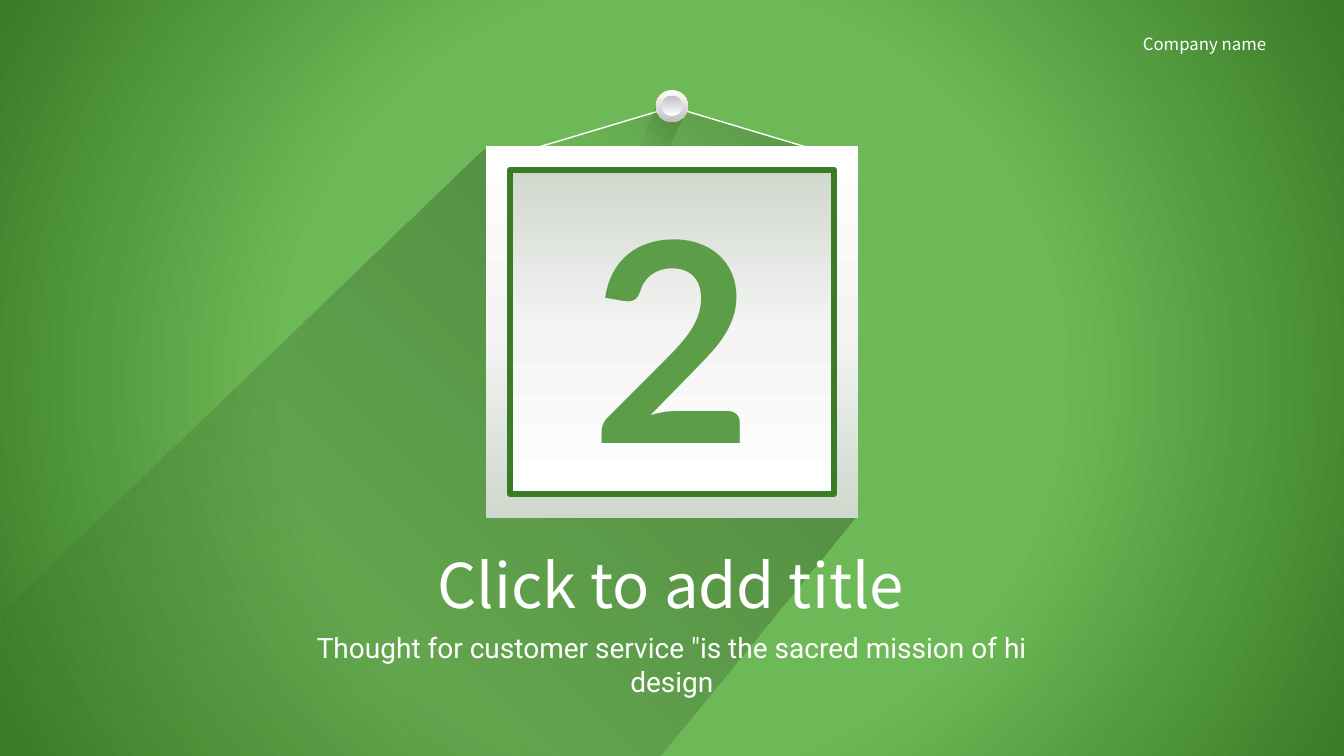
from dataclasses import dataclass

from lxml.etree import SubElement
from pptx import Presentation
from pptx.dml.color import RGBColor as RGB
from pptx.enum.shapes import MSO_SHAPE as SHAPE
from pptx.enum.text import MSO_ANCHOR as ANCHOR, PP_ALIGN as ALIGN
from pptx.oxml.ns import qn
from pptx.util import Emu, Pt

SCALE = 914400 / 100.8


@dataclass(frozen=True)
class Theme:
    """Colours, fonts and type sizes of the slide."""
    white: str = "FFFFFF"
    black: str = "000000"
    light: str = "6EB957"
    dark: str = "397B26"
    number: str = "5B9E47"
    pale: str = "F4F4F4"
    sage: str = "D0D8CD"
    silver: str = "BFBFBF"
    heading_font: str = "Noto Sans CJK SC"
    body_font: str = "Roboto"
    number_font: str = "Lato"
    label_size: int = 12
    body_size: int = 20
    title_size: int = 44
    number_size: int = 199


T = Theme()
FRAME = [(0, T.white, 100), (50, T.pale, 100), (100, T.sage, 100)]
METAL = [(0, T.white, 100), (100, T.silver, 100)]


def px(n):
    """Turn pixels into EMU."""
    return Emu(round(n * SCALE))


def fade(alpha):
    """Return the stops of a shadow that fades out."""
    return [(0, T.black, alpha), (100, T.black, 0)]


def paint(owner, element, stops, angle=None):
    """Give the owner a linear gradient, or a circular one without an angle."""
    owner.fill.solid()
    solid = next(element.iter(qn("a:solidFill")))
    parent = solid.getparent()
    grad = SubElement(parent, qn("a:gradFill"), rotWithShape="1")
    parent.replace(solid, grad)
    stop_list = SubElement(grad, qn("a:gsLst"))
    for pos, color, alpha in stops:
        gs = SubElement(stop_list, qn("a:gs"), pos=str(pos * 1000))
        clr = SubElement(gs, qn("a:srgbClr"), val=color)
        if alpha < 100:
            SubElement(clr, qn("a:alpha"), val=str(alpha * 1000))
    if angle is None:
        circle = SubElement(grad, qn("a:path"), {"path": "circle"})
        SubElement(circle, qn("a:fillToRect"), dict.fromkeys("ltrb", "50000"))
    else:
        SubElement(grad, qn("a:lin"), ang=str(angle * 60000), scaled="0")


def add_shape(shapes, kind, box, stops=None, angle=0, line=None, width=1):
    """Add a preset shape with an optional gradient and outline."""
    s = shapes.add_shape(kind, *map(px, box))
    s.shadow.inherit = False
    if stops:
        paint(s, s.element, stops, angle)
    else:
        s.fill.background()
    if line:
        s.line.color.rgb = RGB.from_string(line)
        s.line.width = Pt(width)
    else:
        s.line.fill.background()
    return s


def add_shadow(shapes, points, alpha):
    """Add a cast shadow through the given points."""
    start, *rest = [(px(x), px(y)) for x, y in points]
    builder = shapes.build_freeform(*start)
    builder.add_line_segments(rest)
    s = builder.convert_to_shape()
    s.shadow.inherit = False
    paint(s, s.element, fade(alpha), 135)
    s.line.fill.background()


def set_text(tf, text, font, size, color=T.white, align=ALIGN.CENTER):
    """Write one paragraph."""
    p = tf.paragraphs[0]
    p.text, p.alignment = text, align
    p.font.name, p.font.size = font, Pt(size)
    p.font.color.rgb = RGB.from_string(color)
    return p


def add_text(shapes, box, text, font, size, align=ALIGN.CENTER, wrap=False):
    """Add a text box."""
    tf = shapes.add_textbox(*map(px, box)).text_frame
    tf.word_wrap = wrap
    set_text(tf, text, font, size, align=align)


def draw_string(shapes, x, y, w, h):
    """Draw the string and its shadow."""
    g = shapes.add_group_shape().shapes
    add_shape(g, SHAPE.ISOSCELES_TRIANGLE, (x - 1, y, w, h), fade(20), 135)
    add_shape(g, SHAPE.ISOSCELES_TRIANGLE, (x, y, w, h), line=T.white)


def draw_pin(shapes, x, y, size):
    """Draw the pin and its shadow."""
    add_shadow(shapes, [(x - 17, y + 57), (x + 1, y + 14), (x + 30, y + 21),
                        (x + 14, y + 57)], 20)
    g = shapes.add_group_shape().shapes
    for inset, angle in ((0, 90), (6, 270)):
        side = size - 2 * inset
        add_shape(g, SHAPE.OVAL, (x + inset, y + inset, side, side), METAL, angle)


def draw_frame(shapes, x, y, size, number):
    """Draw the square frame with its number."""
    g = shapes.add_group_shape().shapes
    add_shape(g, SHAPE.RECTANGLE, (x, y, size, size), FRAME, 90)
    inset = 24
    side = size - 2 * inset
    s = add_shape(g, SHAPE.RECTANGLE, (x + inset, y + inset, side, side),
                  FRAME, 270, T.dark, 4.5)
    tf = s.text_frame
    tf.vertical_anchor = ANCHOR.MIDDLE
    p = set_text(tf, number, T.number_font, T.number_size, T.number)
    p.font.bold = True


def draw_hanging(shapes, x, y, size, number):
    """Draw the hanging frame with its long shadow, string and pin."""
    add_shadow(shapes, [(x - 1, y + 3), (x + size - 2, y + size - 1),
                        (660, 756), (0, 756), (1, 613)], 30)
    draw_string(shapes, x + 53, y - 39, 267, 40)
    draw_pin(shapes, x + size // 2 - 16, y - 56, 32)
    draw_frame(shapes, x, y, size, number)


def draw_captions(shapes, x, y, w):
    """Write the title and the line below it."""
    add_text(shapes, (x + 131, y, w - 264, 85), "Click to add title",
             T.heading_font, T.title_size)
    add_text(shapes, (x, y + 84, w, 44),
             'Thought for customer service "is the sacred mission of hi design',
             T.body_font, T.body_size, wrap=True)


def section_slide(prs):
    """Build the section slide."""
    slide = prs.slides.add_slide(prs.slide_layouts[6])
    paint(slide.background, slide.element,
          [(50, T.light, 100), (100, T.dark, 100)])
    add_text(slide.shapes, (1133, 29, 157, 30), "Company name",
             T.heading_font, T.label_size, ALIGN.LEFT)
    draw_hanging(slide.shapes, 486, 146, 372, "2")
    draw_captions(slide.shapes, 285, 542, 774)


def main():
    """Build and save the presentation."""
    prs = Presentation()
    prs.slide_width, prs.slide_height = px(1344), px(756)
    section_slide(prs)
    prs.save("out.pptx")


if __name__ == "__main__":
    main()
